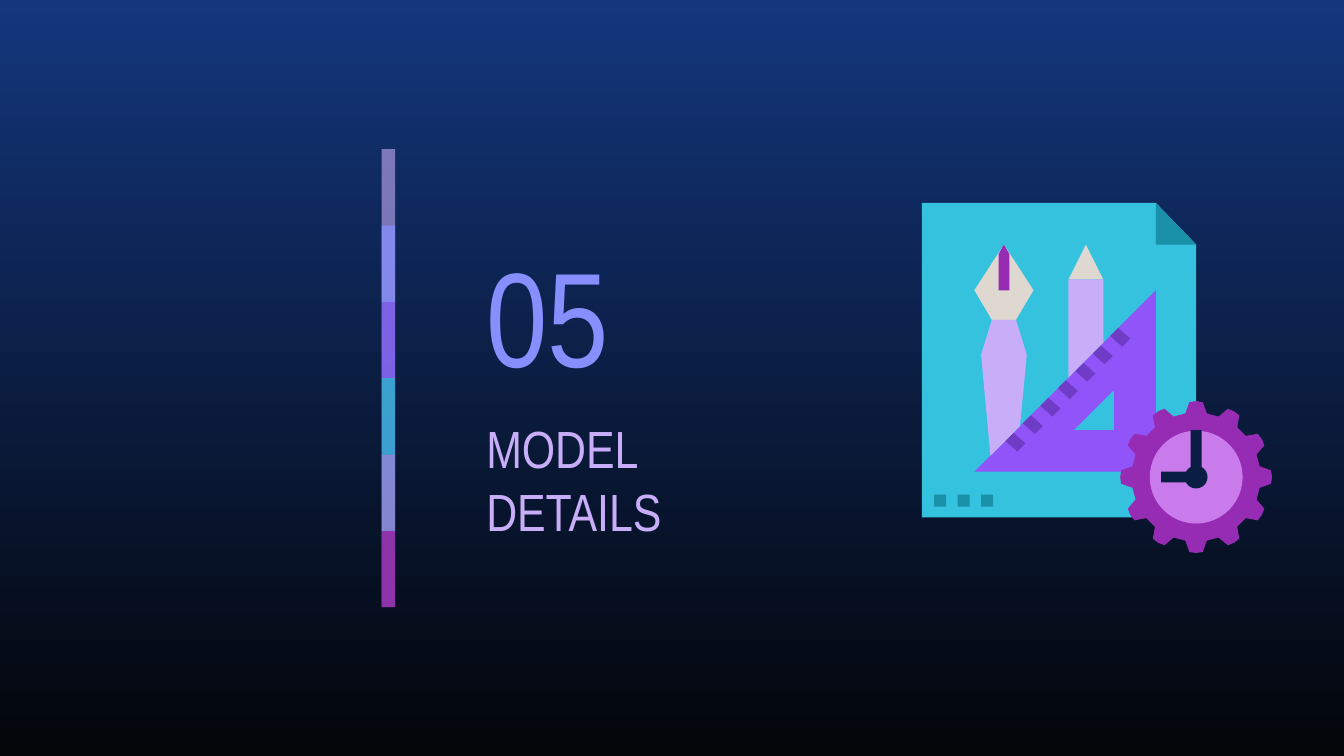
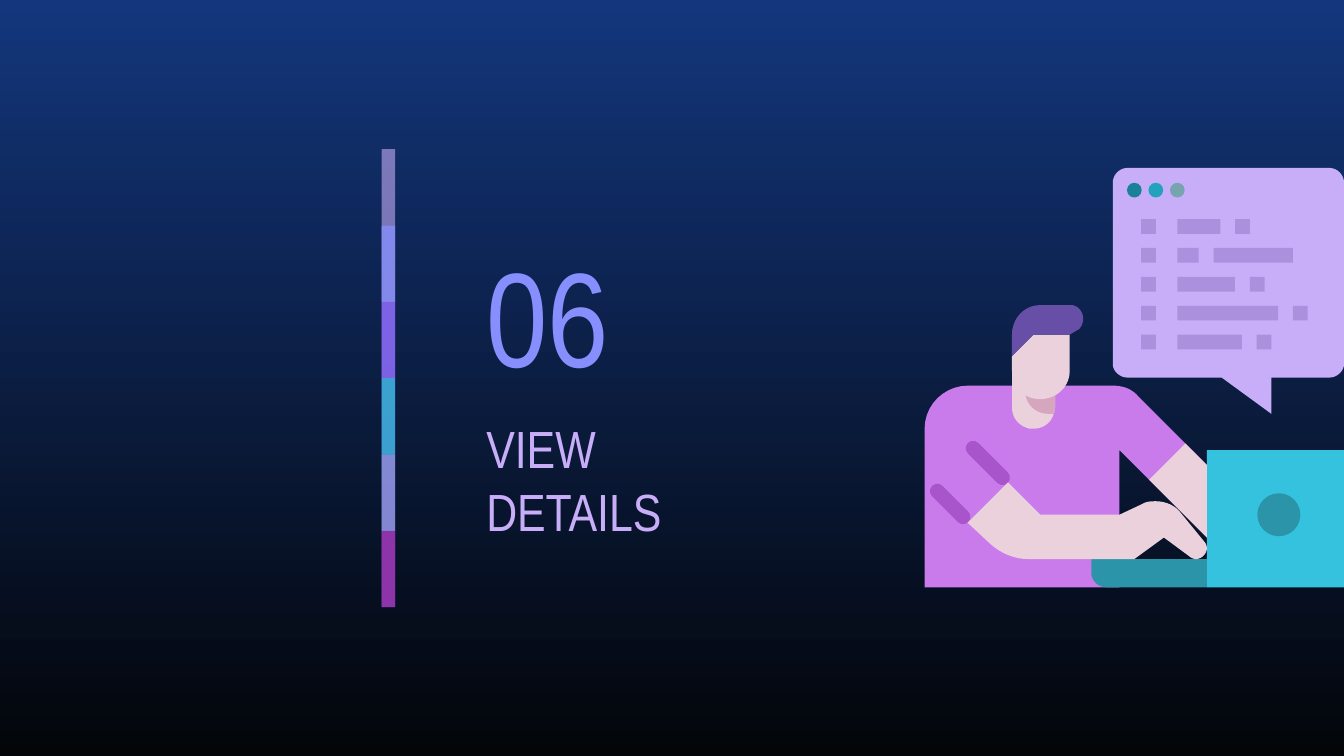
from dataclasses import dataclass
from math import cos, radians, sin

from lxml import etree
from pptx import Presentation
from pptx.dml.color import RGBColor
from pptx.enum.shapes import MSO_SHAPE
from pptx.enum.text import MSO_ANCHOR, MSO_AUTO_SIZE
from pptx.oxml.ns import qn
from pptx.util import Inches, Pt

RECT, OVAL, PILL = MSO_SHAPE.RECTANGLE, MSO_SHAPE.OVAL, MSO_SHAPE.ROUNDED_RECTANGLE
TOP, MIDDLE = MSO_ANCHOR.TOP, MSO_ANCHOR.MIDDLE
NO_FIT = MSO_AUTO_SIZE.NONE
CURVE_STEPS = 10


@dataclass(frozen=True)
class Theme:
    font: str = "Arial Narrow"
    number_size: int = 72
    title_size: int = 28
    sky: str = "13367C"
    night: str = "030509"
    navy: str = "0A1D42"
    lilac: str = "C8AEF8"
    periwinkle: str = "878FFF"
    violet: str = "9154F8"
    deep_violet: str = "6F3CC6"
    cyan: str = "35C2DF"
    teal: str = "1B91A9"
    laptop_teal: str = "2B94A9"
    orchid: str = "CA7BEB"
    cuff: str = "A855CB"
    purple: str = "972CB4"
    bone: str = "DED8D0"
    skin: str = "EAD1DC"
    neck_shade: str = "D5A6BD"
    hair: str = "674EA7"
    code: str = "AB90DE"
    dots: tuple = ("198298", "22A2BC", "76A5AF")


T = Theme()
BAR = [(T.lilac, 59), (T.periwinkle, 74), (T.violet, 53),
       (T.cyan, 76), (T.orchid, 56), (T.purple, 74)]


def paint(sp, color, alpha=None):
    sp.shadow.inherit = False
    sp.line.fill.background()
    sp.fill.solid()
    sp.fill.fore_color.rgb = RGBColor.from_string(color)
    if alpha is not None:
        clr = sp.fill._xPr.find(".//" + qn("a:srgbClr"))
        etree.SubElement(clr, qn("a:alpha")).set("val", str(alpha * 1000))
    return sp


def add_preset(slide, kind, box, color, alpha=None):
    sp = slide.shapes.add_shape(kind, *map(Inches, box))
    return paint(sp, color, alpha)


def add_circle(slide, cx, cy, radius, color):
    add_preset(slide, OVAL, (cx - radius, cy - radius, 2 * radius, 2 * radius), color)


def add_pill(slide, cx, cy, length, color):
    thick = 0.11
    sp = add_preset(slide, PILL, (cx - length / 2, cy - thick / 2, length, thick), color)
    sp.adjustments[0] = 0.5
    sp.rotation = 45


def flatten(path):
    points = [path[0]]
    for step in path[1:]:
        if len(step) == 2:
            points.append(step)
            continue
        x0, y0 = points[-1]
        x1, y1, x2, y2, x3, y3 = step
        for i in range(1, CURVE_STEPS + 1):
            t = i / CURVE_STEPS
            a, b, c, d = (1 - t) ** 3, 3 * t * (1 - t) ** 2, 3 * t * t * (1 - t), t ** 3
            points.append((a * x0 + b * x1 + c * x2 + d * x3,
                           a * y0 + b * y1 + c * y2 + d * y3))
    return points


def add_outline(slide, color, *paths):
    builder = None
    for path in paths:
        start, *rest = [(Inches(x), Inches(y)) for x, y in flatten(path)]
        if builder is None:
            builder = slide.shapes.build_freeform(*start)
        else:
            builder.move_to(*start)
        builder.add_line_segments(rest, close=True)
    return paint(builder.convert_to_shape(), color)


def add_text(slide, box, lines, size, color, anchor):
    tf = slide.shapes.add_textbox(*map(Inches, box)).text_frame
    frame = dict(word_wrap=True, auto_size=NO_FIT, vertical_anchor=anchor)
    frame.update({f"margin_{side}": Inches(0.1)
                  for side in ("left", "top", "right", "bottom")})
    for name, value in frame.items():
        setattr(tf, name, value)
    for i, line in enumerate(lines):
        p = tf.add_paragraph() if i else tf.paragraphs[0]
        r = p.add_run()
        r.text = line
        for name, value in dict(name=T.font, size=Pt(size)).items():
            setattr(r.font, name, value)
        r.font.color.rgb = RGBColor.from_string(color)


def add_section(prs, number, title, draw_art):
    slide = prs.slides.add_slide(prs.slide_layouts[6])
    fill = slide.background.fill
    fill.gradient()
    fill.gradient_angle = 270
    for stop, position, color in zip(fill.gradient_stops, (0, 1), (T.sky, T.night)):
        stop.position = position
        stop.color.rgb = RGBColor.from_string(color)
    add_text(slide, (3.52, 1.66, 1.75, 1.35), [number], T.number_size, T.periwinkle, MIDDLE)
    add_text(slide, (3.52, 3, 2.87, 0.96), title, T.title_size, T.lilac, TOP)
    draw_art(slide)
    step = 0.568
    for i, (color, alpha) in enumerate(BAR):
        height = step if i == len(BAR) - 1 else 2 * step
        add_preset(slide, RECT, (2.84, 1.11 + i * step, 0.1, height), color, alpha)


def gear_outline(cx, cy):
    tooth = [(-9.6, 0.48), (-5.1, 0.56), (0, 0.565), (5.1, 0.56), (9.6, 0.48)]
    return [(cx + radius * sin(radians(30 * k + turn)),
             cy - radius * cos(radians(30 * k + turn)))
            for k in range(12) for turn, radius in tooth]


def draw_sheet(slide):
    add_outline(slide, T.cyan, [(6.86, 1.51), (6.86, 3.85), (8.9, 3.85), (8.9, 1.82), (8.6, 1.51)])
    add_outline(slide, T.teal, [(8.6, 1.51), (8.6, 1.82), (8.9, 1.82)])
    for i in range(3):
        add_preset(slide, RECT, (6.95 + i * 0.175, 3.68, 0.09, 0.09), T.teal)


def draw_pens(slide):
    add_outline(slide, T.bone, [(8.08, 1.82), (7.95, 2.08), (8.21, 2.08)])
    add_outline(slide, T.lilac, [(7.95, 2.08), (7.95, 2.81), (8.21, 2.55), (8.21, 2.08)])
    add_outline(slide, T.bone, [(7.47, 1.82), (7.25, 2.16), (7.38, 2.38),
                                (7.56, 2.38), (7.69, 2.16)])
    add_outline(slide, T.lilac, [(7.38, 2.38), (7.3, 2.64), (7.37, 3.39),
                                 (7.59, 3.17), (7.64, 2.64), (7.56, 2.38)])
    add_outline(slide, T.purple, [(7.47, 1.82), (7.43, 1.89), (7.43, 2.16),
                                  (7.51, 2.16), (7.51, 1.89)])


def draw_set_square(slide):
    add_outline(slide, T.violet,
                [(8.29, 2.9), (8.29, 3.2), (7.99, 3.2)],
                [(8.6, 2.16), (7.25, 3.51), (8.6, 3.51)])
    for i in range(7):
        x, y = 7.48 + i * 0.13, 3.22 - i * 0.13
        add_outline(slide, T.deep_violet, [(x + 0.06, y), (x, y + 0.06),
                                           (x + 0.09, y + 0.14), (x + 0.15, y + 0.08)])


def draw_gear_clock(slide):
    cx, cy = 8.9, 3.55
    add_outline(slide, T.purple, gear_outline(cx, cy))
    add_circle(slide, cx, cy, 0.345, T.orchid)
    add_outline(slide, T.navy, [(8.86, 3.2), (8.86, 3.51), (8.64, 3.51),
                                (8.64, 3.59), (8.94, 3.59), (8.94, 3.2)])
    add_circle(slide, cx, cy, 0.085, T.navy)


def draw_design_tools(slide):
    draw_sheet(slide)
    draw_set_square(slide)
    draw_pens(slide)
    draw_gear_clock(slide)


def draw_body(slide):
    add_outline(slide, T.orchid, [
        (7.2, 2.87), (7.03, 2.87, 6.88, 3.01, 6.88, 3.19), (6.88, 4.37), (8.33, 4.37),
        (8.33, 3.35), (8.98, 4), (8.98, 3.46), (8.47, 2.95),
        (8.42, 2.89, 8.35, 2.87, 8.28, 2.87)])
    add_pill(slide, 7.07, 3.75, 0.38, T.cuff)
    add_pill(slide, 7.35, 3.445, 0.42, T.cuff)


def draw_laptop(slide):
    add_preset(slide, RECT, (8.98, 3.35, 1.02, 1.02), T.cyan)
    add_outline(slide, T.laptop_teal, [(8.12, 4.16), (8.12, 4.26),
                                       (8.12, 4.32, 8.17, 4.37, 8.23, 4.37),
                                       (8.98, 4.37), (8.98, 4.16)])
    add_circle(slide, 9.515, 3.83, 0.16, T.laptop_teal)


def draw_neck_and_arms(slide):
    add_outline(slide, T.skin, [
        (7.53, 2.71), (7.53, 3.03), (7.53, 3.11, 7.58, 3.17, 7.66, 3.19),
        (7.67, 3.19, 7.68, 3.19, 7.69, 3.19), (7.76, 3.19, 7.82, 3.15, 7.84, 3.08),
        (7.85, 3.06, 7.85, 3.05, 7.85, 3.03), (7.85, 2.71)])
    add_outline(slide, T.neck_shade, [
        (7.63, 2.71), (7.63, 2.92), (7.63, 3.01, 7.71, 3.08, 7.8, 3.08), (7.84, 3.08),
        (7.85, 3.06, 7.85, 3.05, 7.85, 3.03), (7.85, 2.71)])
    add_outline(slide, T.skin, [
        (7.5, 3.59), (7.2, 3.89), (7.35, 4.03), (7.43, 4.11, 7.54, 4.16, 7.65, 4.16),
        (8.44, 4.16), (8.66, 4), (8.85, 4.14), (8.86, 4.15, 8.88, 4.16, 8.9, 4.16),
        (8.94, 4.16, 8.98, 4.12, 8.98, 4.08), (8.98, 4.06, 8.97, 4.04, 8.96, 4.03),
        (8.78, 3.81), (8.74, 3.76, 8.67, 3.73, 8.6, 3.73),
        (8.57, 3.73, 8.53, 3.73, 8.5, 3.75), (8.33, 3.83), (7.74, 3.83)])
    add_outline(slide, T.skin, [(8.82, 3.3), (8.55, 3.57), (8.98, 4), (8.98, 3.46)])


def draw_head(slide):
    add_outline(slide, T.skin, [
        (7.69, 2.49), (7.53, 2.65), (7.53, 2.76), (7.53, 2.88, 7.62, 2.97, 7.74, 2.97),
        (7.86, 2.97, 7.96, 2.88, 7.96, 2.76), (7.96, 2.49)])
    add_outline(slide, T.hair, [
        (7.74, 2.27), (7.62, 2.27, 7.53, 2.37, 7.53, 2.49), (7.53, 2.65), (7.69, 2.49),
        (7.96, 2.49), (8.01, 2.46), (8.04, 2.45, 8.06, 2.41, 8.06, 2.37),
        (8.06, 2.32, 8.02, 2.27, 7.97, 2.27)])


def draw_code_bubble(slide):
    add_outline(slide, T.lilac, [
        (8.39, 1.25), (8.33, 1.25, 8.28, 1.3, 8.28, 1.36), (8.28, 2.71),
        (8.28, 2.76, 8.33, 2.81, 8.39, 2.81), (9.09, 2.81), (9.46, 3.08), (9.46, 2.81),
        (9.89, 2.81), (9.95, 2.81, 10, 2.76, 10, 2.71), (10, 1.36),
        (10, 1.3, 9.95, 1.25, 9.89, 1.25)])
    unit = 0.11
    code_lines = [
        [(8.76, 0.32), (9.19, unit)],
        [(8.76, 0.16), (9.03, 0.59)],
        [(8.76, 0.43), (9.3, unit)],
        [(8.76, 0.75), (9.62, unit)],
        [(8.76, 0.48), (9.35, unit)],
    ]
    for i, words in enumerate(code_lines):
        for left, width in [(8.49, unit)] + words:
            add_preset(slide, RECT, (left, 1.63 + i * 0.215, width, unit), T.code)
    for i, color in enumerate(T.dots):
        add_circle(slide, 8.44 + i * 0.16, 1.415, unit / 2, color)


def draw_programmer(slide):
    draw_body(slide)
    draw_laptop(slide)
    draw_neck_and_arms(slide)
    draw_code_bubble(slide)
    draw_head(slide)


def main():
    prs = Presentation()
    prs.slide_width, prs.slide_height = Inches(10), Inches(5.625)
    add_section(prs, "05", ["MODEL", "DETAILS"], draw_design_tools)
    add_section(prs, "06", ["VIEW", "DETAILS"], draw_programmer)
    prs.save("out.pptx")


main()
